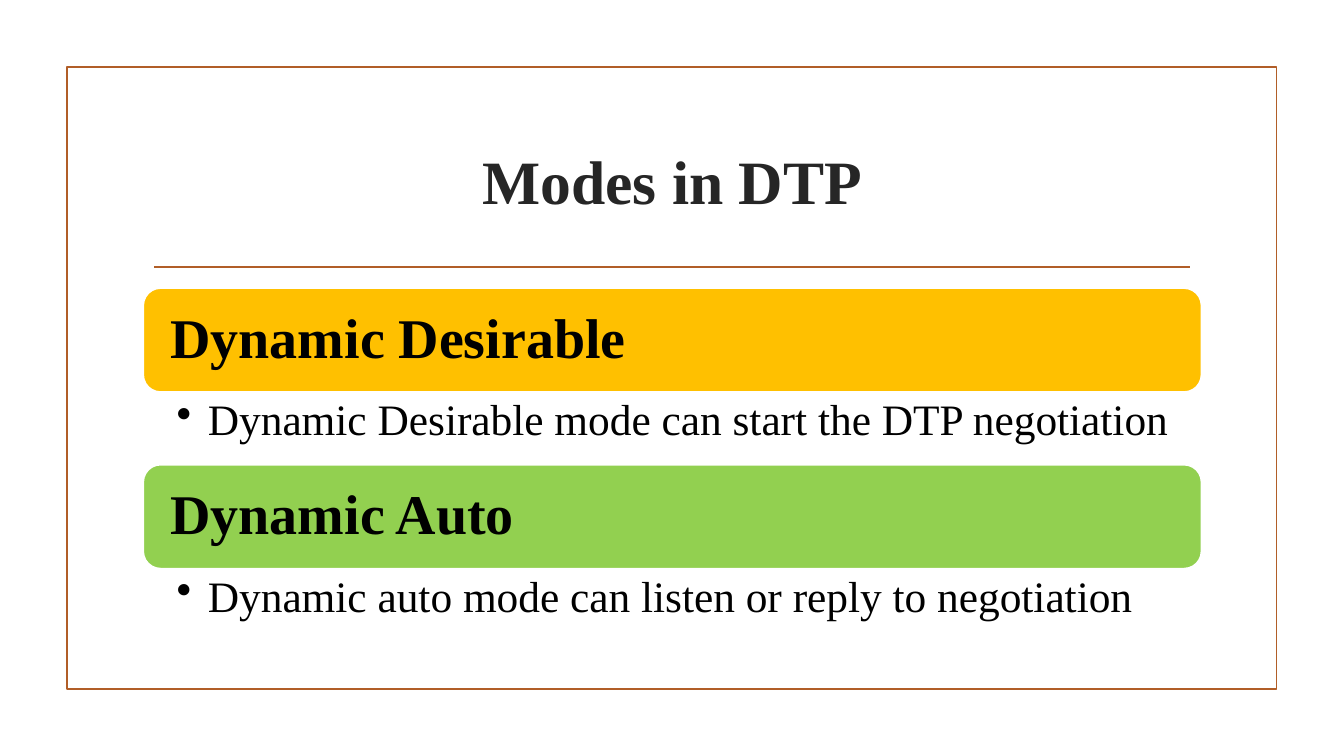
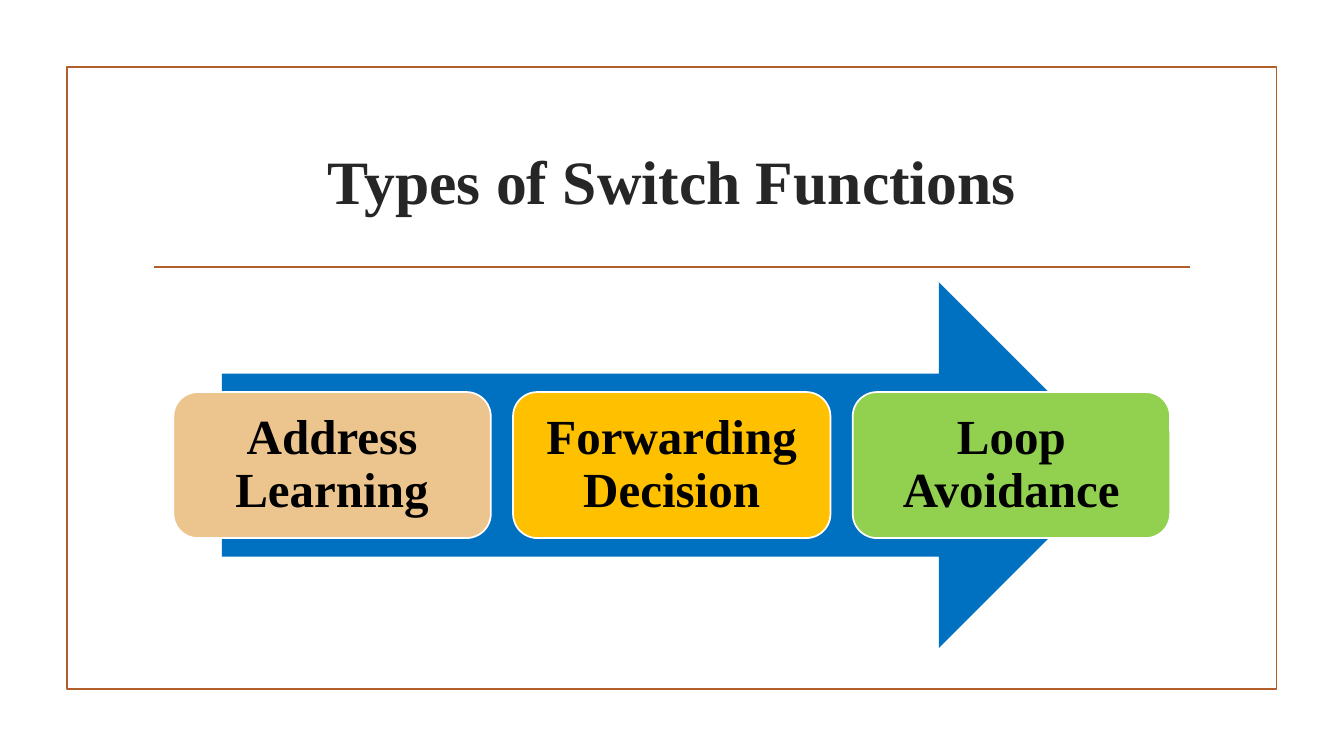
"""Build two slides on DTP modes and switch functions."""
from lxml import etree
from pptx import Presentation
from pptx.dml.color import RGBColor
from pptx.enum.shapes import MSO_CONNECTOR, MSO_SHAPE
from pptx.enum.text import MSO_ANCHOR, PP_ALIGN
from pptx.oxml.ns import qn
from pptx.util import Cm, Pt

RECTANGLE, ROUNDED = MSO_SHAPE.RECTANGLE, MSO_SHAPE.ROUNDED_RECTANGLE
ARROW, STRAIGHT = MSO_SHAPE.RIGHT_ARROW, MSO_CONNECTOR.STRAIGHT
LEFT, CENTER = PP_ALIGN.LEFT, PP_ALIGN.CENTER
TOP, MIDDLE = MSO_ANCHOR.TOP, MSO_ANCHOR.MIDDLE

WHITE = RGBColor(0xFF, 0xFF, 0xFF)
BLACK = RGBColor(0x00, 0x00, 0x00)
CHARCOAL = RGBColor(0x26, 0x26, 0x26)
RUST = RGBColor(0xB1, 0x5E, 0x28)
AMBER = RGBColor(0xFF, 0xC0, 0x00)
GREEN = RGBColor(0x92, 0xD0, 0x50)
SAND = RGBColor(0xEC, 0xC4, 0x8D)
BLUE = RGBColor(0x00, 0x70, 0xC0)

FONT = "Times New Roman"
LINE_WIDTH = Pt(1.25)
INSET = Cm(0.56)
BULLET_INDENT = Cm(0.79)
CONTENT_LEFT, CONTENT_WIDTH = Cm(3.61), Cm(26.67)

MODES_TITLE = "Modes in DTP"
MODES = [
    ("Dynamic Desirable", "Dynamic Desirable mode can start the DTP negotiation", AMBER),
    ("Dynamic Auto", "Dynamic auto mode can listen or reply to negotiation", GREEN),
]
FUNCTIONS_TITLE = "Types of Switch Functions"
FUNCTIONS = [
    ("Address Learning", SAND),
    ("Forwarding Decision", AMBER),
    ("Loop Avoidance", GREEN),
]


def add_box(page, kind, left, top, width, height, fill=None, line=None):
    box = page.shapes.add_shape(kind, left, top, width, height)
    box.shadow.inherit = False
    if fill is None:
        box.fill.background()
    else:
        box.fill.solid()
        box.fill.fore_color.rgb = fill
    if line is None:
        box.line.fill.background()
    else:
        box.line.color.rgb = line
        box.line.width = LINE_WIDTH
    return box


def write(box, text, size, bold=True, color=BLACK, align=LEFT, anchor=MIDDLE,
          spacing=0.9, insets=(INSET, INSET, INSET, INSET), bullet=False):
    frame = box.text_frame
    frame.word_wrap = True
    frame.vertical_anchor = anchor
    (frame.margin_left, frame.margin_top,
     frame.margin_right, frame.margin_bottom) = insets
    para = frame.paragraphs[0]
    para.alignment = align
    para.line_spacing = spacing
    span = para.add_run()
    span.text = text
    span.font.name = FONT
    span.font.size = Pt(size)
    span.font.bold = bold
    span.font.color.rgb = color
    if bullet:
        properties = para._p.get_or_add_pPr()
        properties.set("marL", str(BULLET_INDENT))
        properties.set("indent", str(-BULLET_INDENT))
        etree.SubElement(properties, qn("a:buChar")).set("char", "•")


def add_page(deck, title):
    page = deck.slides.add_slide(deck.slide_layouts[6])
    add_box(page, RECTANGLE, Cm(1.69), Cm(1.69), Cm(30.48), Cm(15.67), line=RUST)
    rule = page.shapes.add_connector(STRAIGHT, Cm(3.89), Cm(6.73), Cm(30), Cm(6.73))
    rule.line.color.rgb = RUST
    rule.line.width = LINE_WIDTH
    etree.SubElement(rule._element.spPr, qn("a:effectLst"))
    heading = page.shapes.add_textbox(CONTENT_LEFT, Cm(2.72), CONTENT_WIDTH, Cm(3.63))
    write(heading, title, 44, color=CHARCOAL, align=CENTER, spacing=1)
    return page


def add_modes(page):
    band_height, detail_height = Cm(2.62), Cm(1.83)
    detail_insets = (Cm(0.84), Cm(0.15), Cm(0.3), Cm(0.15))
    top = Cm(7.26)
    for name, detail, color in MODES:
        band = add_box(page, ROUNDED, CONTENT_LEFT, top, CONTENT_WIDTH, band_height,
                       fill=color, line=WHITE)
        write(band, name, 40)
        top += band_height
        body = page.shapes.add_textbox(CONTENT_LEFT, top, CONTENT_WIDTH, detail_height)
        write(body, detail, 31, bold=False, anchor=TOP, insets=detail_insets, bullet=True)
        top += detail_height


def add_functions(page):
    add_box(page, ARROW, Cm(5.59), Cm(7.11), Cm(22.68), Cm(9.22), fill=BLUE)
    card_width, gap = Cm(8), Cm(0.56)
    for index, (name, color) in enumerate(FUNCTIONS):
        left = Cm(4.37) + index * (card_width + gap)
        card = add_box(page, ROUNDED, left, Cm(9.88), card_width, Cm(3.68),
                       fill=color, line=WHITE)
        write(card, name, 35, align=CENTER)


def main():
    deck = Presentation()
    deck.slide_width, deck.slide_height = Cm(33.87), Cm(19.05)
    add_modes(add_page(deck, MODES_TITLE))
    add_functions(add_page(deck, FUNCTIONS_TITLE))
    deck.save("out.pptx")


if __name__ == "__main__":
    main()
